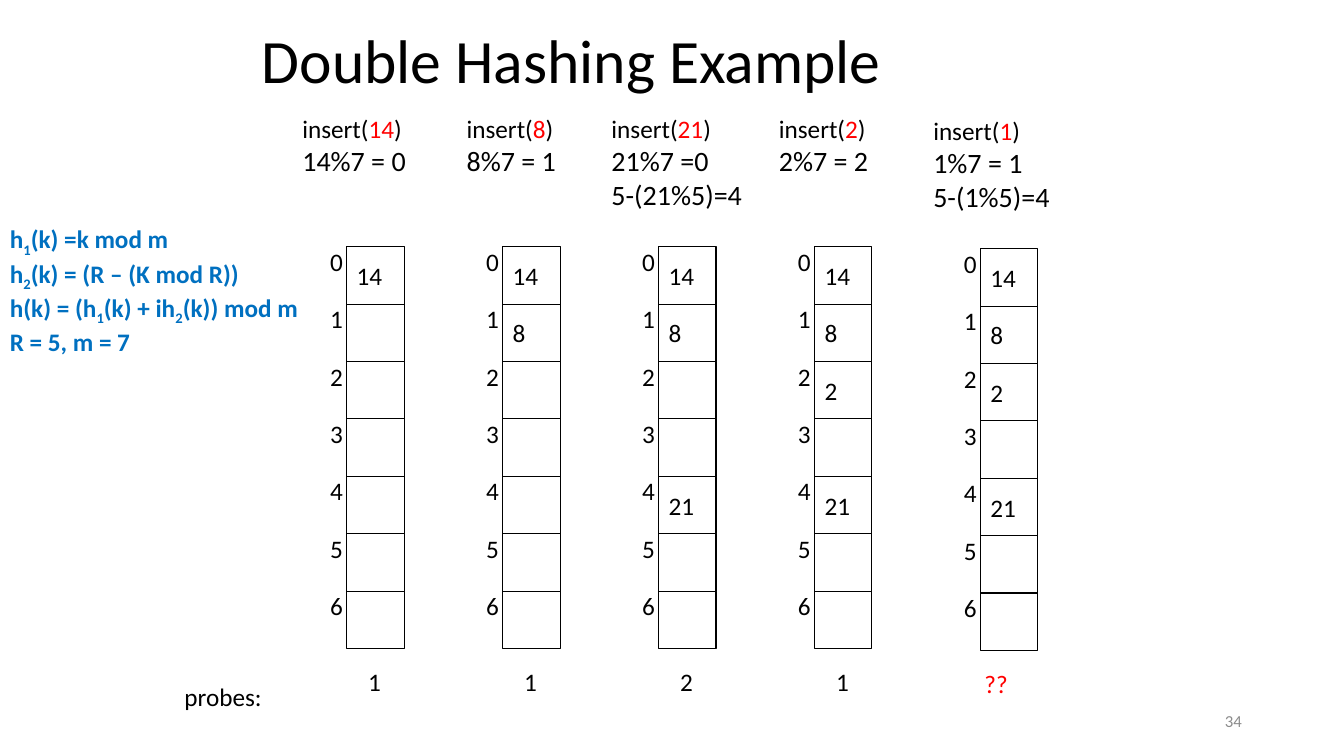
from dataclasses import dataclass

from pptx import Presentation
from pptx import util as u
from pptx.dml.color import RGBColor
from pptx.enum import shapes, text
from pptx.slide import Slide
from pptx.text.text import TextFrame


@dataclass(frozen=True)
class Theme:
    font: str = "Calibri"
    black: RGBColor = RGBColor(0x00, 0x00, 0x00)
    red: RGBColor = RGBColor(0xFF, 0x00, 0x00)
    blue: RGBColor = RGBColor(0x00, 0x70, 0xC0)
    gray: RGBColor = RGBColor(0x8C, 0x8C, 0x8C)
    title: int = 44
    formula: int = 20
    body: int = 18
    number: int = 12
    line: float = 0.75


THEME = Theme()


@dataclass(frozen=True)
class Box:
    left: float
    top: float
    width: float
    height: float

    def lengths(self) -> tuple[u.Cm, u.Cm, u.Cm, u.Cm]:
        return u.Cm(self.left), u.Cm(self.top), u.Cm(self.width), u.Cm(self.height)


@dataclass(frozen=True)
class Span:
    text: str
    color: RGBColor | None = None
    subscript: bool = False


@dataclass(frozen=True)
class Line:
    spans: tuple[Span, ...]
    size: int = THEME.body
    color: RGBColor = THEME.black
    bold: bool = False


@dataclass(frozen=True)
class Insertion:
    key: int
    formulas: tuple[str, ...]
    heading_left: float
    heading_width: float
    table_left: float
    table: dict[int, int]
    probes: str
    drop: float = 0


ROWS = 7
TABLE_TOP = 6.22
TABLE_HEIGHT = 10.12
CELL = TABLE_HEIGHT / ROWS
FIRST_TABLE = 8.74
TABLE_STEP = 3.93
HEADING_TOP = 2.74
PROBES_TOP = 16.66
LABEL_WIDTH = 0.84
LABEL_HEIGHT = 1.02

INSERTIONS = (
    Insertion(14, ("14%7 = 0",), 7.37, 3.15, FIRST_TABLE, {0: 14}, "1"),
    Insertion(8, ("8%7 = 1",), 11.51, 2.77, FIRST_TABLE + TABLE_STEP, {0: 14, 1: 8}, "1"),
    Insertion(21, ("21%7 =0", "5-(21%5)=4"), 15.16, 3.84, FIRST_TABLE + 2 * TABLE_STEP,
              {0: 14, 1: 8, 4: 21}, "2"),
    Insertion(2, ("2%7 = 2",), 19.38, 2.77, FIRST_TABLE + 3 * TABLE_STEP,
              {0: 14, 1: 8, 2: 2, 4: 21}, "1"),
    Insertion(1, ("1%7 = 1", "5-(1%5)=4"), 23.27, 3.48, 24.71,
              {0: 14, 1: 8, 2: 2, 4: 21}, "??", drop=0.05),
)

HASH_FUNCTIONS = (
    (Span("h"), Span("1", subscript=True), Span("(k) =k mod m")),
    (Span("h"), Span("2", subscript=True), Span("(k) = (R – (K mod R))")),
    (Span("h(k) = (h"), Span("1", subscript=True), Span("(k) + ih"),
     Span("2", subscript=True), Span("(k)) mod m")),
    (Span("R = 5, m = 7"),),
)


def plain(words: str, size: int = THEME.body, color: RGBColor = THEME.black) -> Line:
    return Line((Span(words),), size, color)


def write(frame: TextFrame, lines: list[Line]) -> None:
    for position, line in enumerate(lines):
        paragraph = frame.add_paragraph() if position else frame.paragraphs[0]
        paragraph.alignment = text.PP_ALIGN.LEFT
        paragraph.font.name = THEME.font
        paragraph.font.size = u.Pt(line.size)
        paragraph.font.bold = line.bold
        paragraph.font.color.rgb = line.color
        for span in line.spans:
            run = paragraph.add_run()
            run.text = span.text
            if span.color is not None:
                run.font.color.rgb = span.color
            if span.subscript:
                run._r.get_or_add_rPr().set("baseline", "-25000")


def add_text(slide: Slide, box: Box, lines: list[Line], wrap: bool = False) -> TextFrame:
    frame = slide.shapes.add_textbox(*box.lengths()).text_frame
    frame.word_wrap = wrap
    frame.auto_size = text.MSO_AUTO_SIZE.SHAPE_TO_FIT_TEXT
    write(frame, lines)
    return frame


def add_block(slide: Slide, box: Box, line: Line) -> TextFrame:
    frame = add_text(slide, box, [line], wrap=True)
    frame.auto_size = text.MSO_AUTO_SIZE.NONE
    frame.vertical_anchor = text.MSO_ANCHOR.MIDDLE
    return frame


def add_cell(slide: Slide, left: float, top: float, value: int | None) -> None:
    box = Box(left, top, CELL, CELL)
    shape = slide.shapes.add_shape(shapes.MSO_SHAPE.RECTANGLE, *box.lengths())
    shape.shadow.inherit = False
    shape.fill.background()
    shape.line.color.rgb = THEME.black
    shape.line.width = u.Pt(THEME.line)
    if value is not None:
        shape.text_frame.word_wrap = False
        shape.text_frame.vertical_anchor = text.MSO_ANCHOR.MIDDLE
        write(shape.text_frame, [plain(str(value))])


def add_insertion(slide: Slide, step: Insertion) -> None:
    call = Line((Span("insert("), Span(str(step.key), THEME.red), Span(")")))
    formulas = [plain(formula, THEME.formula) for formula in step.formulas]
    heading_height = 1.03 + 0.85 * len(formulas)
    add_text(slide, Box(step.heading_left, HEADING_TOP + step.drop, step.heading_width, heading_height),
             [call, *formulas])
    for row in range(ROWS):
        top = TABLE_TOP + step.drop + row * CELL
        add_cell(slide, step.table_left, top, step.table.get(row))
        add_text(slide, Box(step.table_left - 0.67, top - 0.14, LABEL_WIDTH, LABEL_HEIGHT),
                 [plain(str(row))])
    probes_top = PROBES_TOP + step.drop
    if step.probes.isdigit():
        add_text(slide, Box(step.table_left + 0.29, probes_top, LABEL_WIDTH, LABEL_HEIGHT),
                 [plain(step.probes)])
    else:
        add_text(slide, Box(step.table_left - 0.15, probes_top, 1.7, LABEL_HEIGHT),
                 [plain(step.probes, color=THEME.red)], wrap=True)


def main() -> None:
    presentation = Presentation()
    presentation.slide_width = u.Cm(33.87)
    presentation.slide_height = u.Cm(19.05)
    slide = presentation.slides.add_slide(presentation.slide_layouts[6])

    title = add_block(slide, Box(6.35, 0, 21.59, 3.18), plain("Double Hashing Example", THEME.title))
    title.paragraphs[0].line_spacing = 0.9
    number = add_block(slide, Box(23.93, 17.66, 7.62, 1.01), plain("34", THEME.number, THEME.gray))
    number.paragraphs[0].alignment = text.PP_ALIGN.RIGHT

    for step in INSERTIONS:
        add_insertion(slide, step)
    add_text(slide, Box(4.4, 17.04, 2.49, LABEL_HEIGHT), [plain("probes:")])
    add_text(slide, Box(0, 5.51, 7.98, 3.33),
             [Line(spans, color=THEME.blue, bold=True) for spans in HASH_FUNCTIONS], wrap=True)
    presentation.save("out.pptx")


if __name__ == "__main__":
    main()
